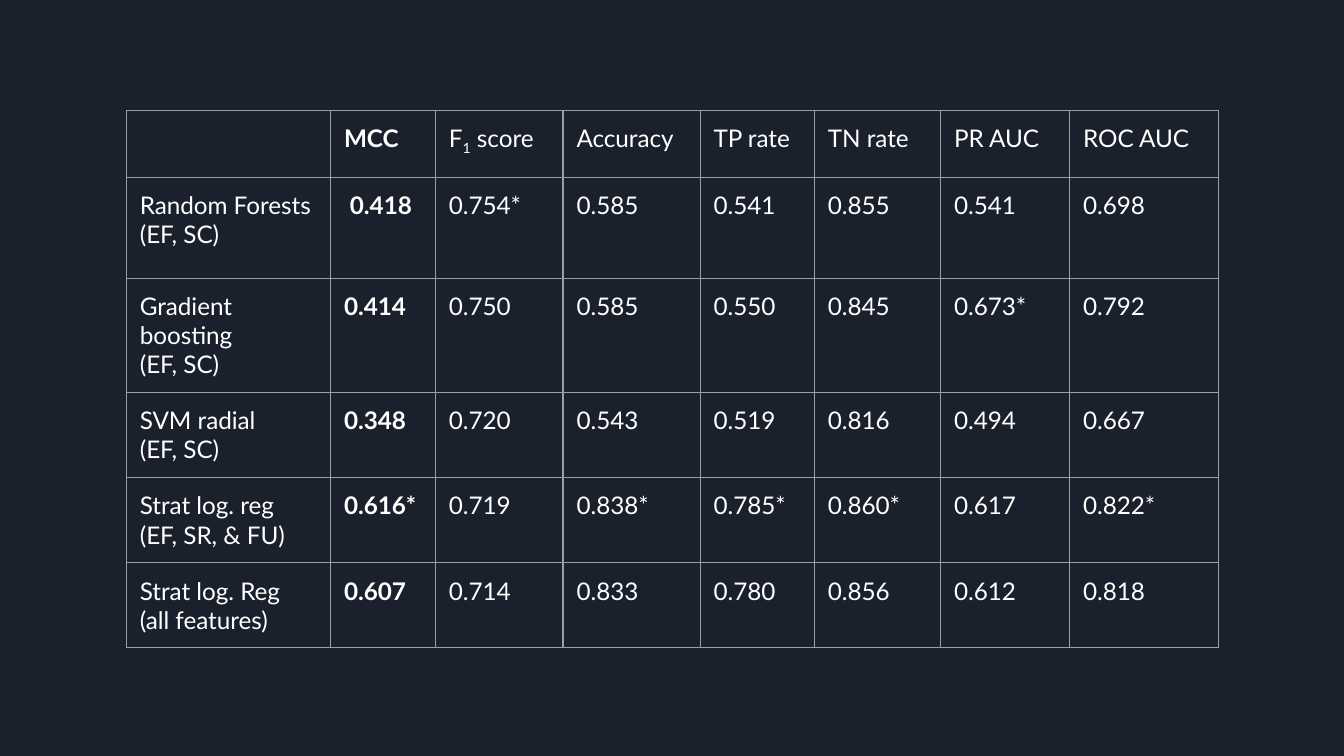
from typing import NamedTuple

from lxml import etree
from pptx import Presentation
from pptx.dml.color import RGBColor
from pptx.oxml.ns import qn
from pptx.util import Inches, Pt

NAVY = RGBColor(0x1B, 0x21, 0x2C)
WHITE = RGBColor(0xFF, 0xFF, 0xFF)
GRAY = RGBColor(0x9E, 0x9E, 0x9E)

PAGE_WIDTH = Inches(10)
PAGE_HEIGHT = PAGE_WIDTH * 9 // 16

FONT = "Lato"
TEXT_SIZE = Pt(13)
BORDER_WIDTH = Pt(0.75)
CELL_MARGIN = Inches(0.1)

TABLE_LEFT, TABLE_TOP = 0.94, 0.82
COLUMN_WIDTHS = [1.52, 0.78, 0.95, 1.02, 0.85, 0.94, 0.96, 1.11]
ROW_HEIGHTS = [0.5, 0.75, 0.85, 0.63, 0.63, 0.63]
MCC_COLUMN = 1
SUBSCRIPT_MARK = "_"


class ModelResult(NamedTuple):
    name: str
    features: str
    scores: list[str]


HEADINGS = ["", "MCC", "F_1_ score", "Accuracy", "TP rate", "TN rate", "PR AUC", "ROC AUC"]
RESULTS = [
    ModelResult("Random Forests", "(EF, SC)",
                [" 0.418", "0.754*", "0.585", "0.541", "0.855", "0.541", "0.698"]),
    ModelResult("Gradient boosting", "(EF, SC)",
                ["0.414", "0.750", "0.585", "0.550", "0.845", "0.673*", "0.792"]),
    ModelResult("SVM radial", "(EF, SC)",
                ["0.348", "0.720", "0.543", "0.519", "0.816", "0.494", "0.667"]),
    ModelResult("Strat log. reg", "(EF, SR, & FU)",
                ["0.616*", "0.719", "0.838*", "0.785*", "0.860*", "0.617", "0.822*"]),
    ModelResult("Strat log. Reg", "(all features)",
                ["0.607", "0.714", "0.833", "0.780", "0.856", "0.612", "0.818"]),
]


def add_borders(cell) -> None:
    properties = cell._tc.get_or_add_tcPr()
    for position, side in enumerate(("a:lnL", "a:lnR", "a:lnT", "a:lnB")):
        line = etree.Element(qn(side), w=str(int(BORDER_WIDTH)))
        fill = etree.SubElement(line, qn("a:solidFill"))
        etree.SubElement(fill, qn("a:srgbClr"), val=str(GRAY))
        properties.insert(position, line)


def write_paragraph(para, text: str, bold: bool) -> None:
    """Write text, lowering whatever stands between two subscript marks."""
    para.font.name = FONT
    para.font.size = TEXT_SIZE
    para.font.bold = bold
    para.font.color.rgb = WHITE
    for index, part in enumerate(text.split(SUBSCRIPT_MARK)):
        if not part:
            continue
        span = para.add_run()
        span.text = part
        if index % 2:
            span._r.get_or_add_rPr().set("baseline", "-25000")


def fill_cell(cell, lines: list[str], bold: bool) -> None:
    cell.fill.background()
    cell.margin_left = cell.margin_right = CELL_MARGIN
    cell.margin_top = cell.margin_bottom = CELL_MARGIN
    add_borders(cell)
    frame = cell.text_frame
    for index, line in enumerate(lines):
        para = frame.add_paragraph() if index else frame.paragraphs[0]
        write_paragraph(para, line, bold)


def add_results_table(page) -> None:
    table = page.shapes.add_table(
        len(ROW_HEIGHTS), len(COLUMN_WIDTHS),
        Inches(TABLE_LEFT), Inches(TABLE_TOP),
        Inches(sum(COLUMN_WIDTHS)), Inches(sum(ROW_HEIGHTS)),
    ).table
    table.first_row = False
    table.horz_banding = False
    for column, width in zip(table.columns, COLUMN_WIDTHS):
        column.width = Inches(width)
    for row, height in zip(table.rows, ROW_HEIGHTS):
        row.height = Inches(height)

    rows = [[[heading] for heading in HEADINGS]]
    for result in RESULTS:
        rows.append([[result.name, result.features], *([score] for score in result.scores)])
    for row_index, row in enumerate(rows):
        for column_index, lines in enumerate(row):
            fill_cell(table.cell(row_index, column_index), lines, column_index == MCC_COLUMN)


def main() -> None:
    deck = Presentation()
    deck.slide_width, deck.slide_height = PAGE_WIDTH, PAGE_HEIGHT
    page = deck.slides.add_slide(deck.slide_layouts[6])
    page.background.fill.solid()
    page.background.fill.fore_color.rgb = NAVY
    add_results_table(page)
    deck.save("out.pptx")


if __name__ == "__main__":
    main()
